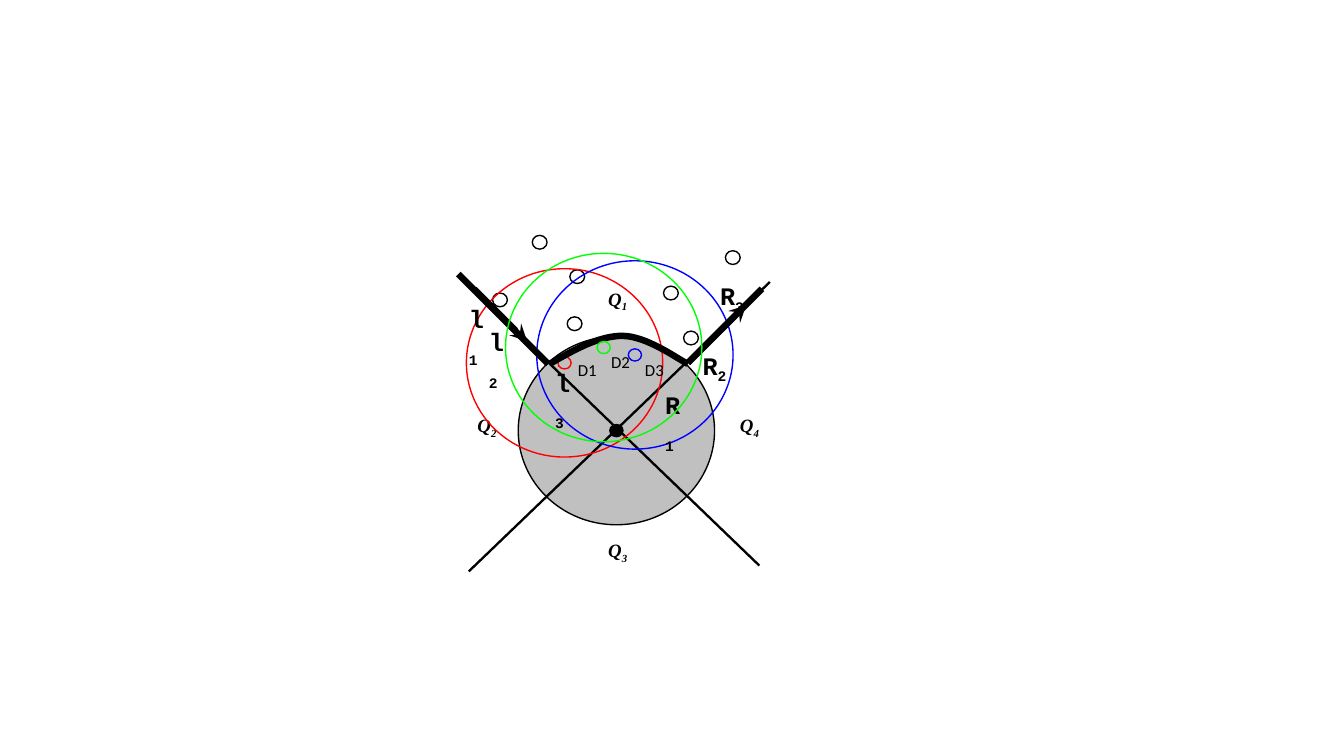
from lxml import etree
from pptx import Presentation
from pptx import util as u
from pptx.dml.color import RGBColor
from pptx.enum import shapes, text
from pptx.oxml.ns import qn

BLACK, GRAY = "000000", "C0C0C0"
BIG, DOT, OBSTACLE = (3.71, 3.56), (0.25, 0.23), (0.28, 0.26)
Q_FONT = {"name": "Times New Roman", "size": u.Pt(10.1), "bold": True, "italic": True}
HIT_FONT = {"name": "Courier New", "size": u.Pt(13.5), "bold": True}
DISC_FONT = {"name": "Calibri", "size": u.Pt(9)}


def rgb(value):
    return RGBColor.from_string(value)


def bezier(p0, p1, p2, p3, steps=16):
    """Points along a cubic curve, without its start."""
    for i in range(1, steps + 1):
        t = i / steps
        weights = ((1 - t) ** 3, 3 * t * (1 - t) ** 2, 3 * t * t * (1 - t), t ** 3)
        yield tuple(sum(w * p[k] for w, p in zip(weights, (p0, p1, p2, p3)))
                    for k in (0, 1))


class Diagram:
    """Draws into one group on the slide; all lengths are centimetres."""

    def __init__(self, s):
        self.shapes = s.shapes.add_group_shape().shapes

    def outline(self, shape, color, width):
        shape.line.color.rgb = rgb(color)
        shape.line.width = u.Pt(width)

    def circle(self, center, size, color=BLACK, fill=None):
        (x, y), (w, h) = center, size
        sp = self.shapes.add_shape(shapes.MSO_SHAPE.OVAL, u.Cm(x - w / 2),
                                   u.Cm(y - h / 2), u.Cm(w), u.Cm(h))
        sp.shadow.inherit = False
        if fill:
            sp.fill.solid()
            sp.fill.fore_color.rgb = rgb(fill)
        else:
            sp.fill.background()
        self.outline(sp, color, 0.75)

    def disc(self, center, color):
        self.circle(center, BIG, color)
        self.circle(center, DOT, color)

    def line(self, start, end, width, arrow=False):
        c = self.shapes.add_connector(shapes.MSO_CONNECTOR.STRAIGHT,
                                      *map(u.Cm, start + end))
        self.outline(c, BLACK, width)
        if arrow:
            etree.SubElement(c.line._get_or_add_ln(), qn("a:tailEnd"), type="stealth")
        etree.SubElement(c._element.spPr, qn("a:effectLst"))

    def curve(self, start, *segments, width):
        points = []
        here = start
        for seg in segments:
            points += bezier(here, *seg)
            here = seg[-1]
        fb = self.shapes.build_freeform(*map(u.Cm, start))
        fb.add_line_segments([tuple(map(u.Cm, p)) for p in points], close=False)
        sp = fb.convert_to_shape()
        sp.shadow.inherit = False
        sp.fill.background()
        self.outline(sp, BLACK, width)

    def label(self, box, name, sub, font, wrap=False, centered=False):
        """Text with an optional subscript."""
        tf = self.shapes.add_textbox(*map(u.Cm, box)).text_frame
        tf.word_wrap = wrap
        tf.auto_size = text.MSO_AUTO_SIZE.SHAPE_TO_FIT_TEXT
        p = tf.paragraphs[0]
        if centered:
            tf.vertical_anchor = text.MSO_ANCHOR.MIDDLE
            p.alignment = text.PP_ALIGN.CENTER
        for part in filter(None, (name, sub)):
            r = p.add_run()
            r.text = part
            for key, value in font.items():
                setattr(r.font, key, value)
            r.font.color.rgb = rgb(BLACK)
            if part == sub:
                r._r.get_or_add_rPr().set("baseline", "-25000")

    def hit(self, name, sub, *box):
        self.label(box, name, sub, HIT_FONT, wrap=True)


def main():
    prs = Presentation()
    prs.slide_width, prs.slide_height = u.Cm(25.4), u.Cm(14.29)
    d = Diagram(prs.slides.add_slide(prs.slide_layouts[6]))

    # Central disc and its quadrants
    center = (11.65, 8.14)
    d.circle(center, BIG, fill=GRAY)
    d.circle(center, DOT, fill=BLACK)
    d.line((8.86, 10.8), (14.55, 5.33), 1.25)
    d.line((8.66, 5.21), (14.35, 10.69), 1.25)
    for sub, x, y in (("1", 11.23, 5.33), ("3", 11.23, 10.08),
                      ("4", 13.72, 7.72), ("2", 8.76, 7.72)):
        d.label((x, y, 0.89, 0.69), "Q", sub, Q_FONT, centered=True)

    for spot in ((13.06, 6.39), (10.86, 6.12), (10.91, 5.23), (12.68, 5.54),
                 (9.45, 5.67), (10.2, 4.58), (13.85, 4.87)):
        d.circle(spot, OBSTACLE)
    d.disc((10.67, 6.86), "FF0000")
    d.disc((12.0, 6.71), "0000FF")

    # Trajectory around the disc
    d.line((13.0, 6.86), (14.4, 5.46), 3.5)
    d.line((10.36, 6.88), (8.66, 5.18), 3.5)
    d.curve((10.39, 6.88),
            ((10.87, 6.6), (11.33, 6.35), (11.76, 6.35)),
            ((12.22, 6.35), (12.8, 6.78), (13.0, 6.88)), width=3.5)
    d.line((8.97, 5.46), (9.96, 6.45), 3, arrow=True)
    d.line((13.21, 6.65), (14.1, 5.77), 3, arrow=True)

    d.hit("l", "3", 10.24, 6.81, 0.74, 1.22)
    d.hit("R", "3", 13.36, 5.18, 1.19, 0.84)
    d.hit("l", "1", 8.61, 5.61, 0.74, 1.22)
    d.hit("R", "1", 12.32, 7.24, 0.89, 1.22)
    d.disc((11.41, 6.57), "00FF00")
    d.hit("l", "2", 8.99, 6.05, 0.89, 0.84)
    d.hit("R", "2", 13.03, 6.5, 1.04, 0.84)
    for name, x, y in (("D1", 10.67, 6.68), ("D2", 11.3, 6.53), ("D3", 11.94, 6.68)):
        d.label((x, y, 0.86, 0.64), name, None, DISC_FONT)

    prs.save("out.pptx")


if __name__ == "__main__":
    main()
